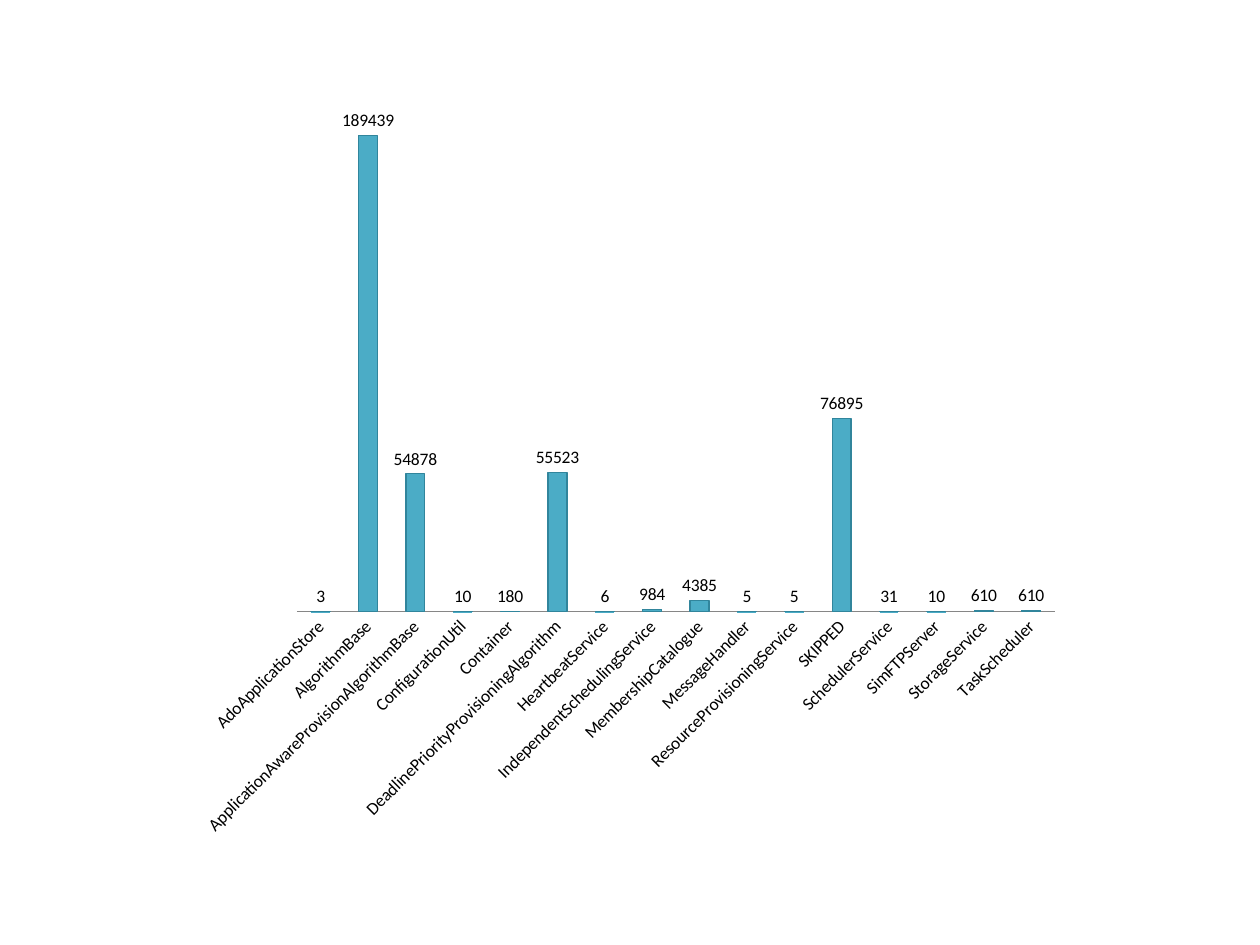
from lxml import etree
from pptx import Presentation
from pptx import util as u
from pptx.chart import data
from pptx.dml import color
from pptx.enum import chart as kinds
from pptx.oxml import ns

PX = 914400 // 126
COUNTS = {
    "AdoApplicationStore": 3,
    "AlgorithmBase": 189439,
    "ApplicationAwareProvisionAlgorithmBase": 54878,
    "ConfigurationUtil": 10,
    "Container": 180,
    "DeadlinePriorityProvisioningAlgorithm": 55523,
    "HeartbeatService": 6,
    "IndependentSchedulingService": 984,
    "MembershipCatalogue": 4385,
    "MessageHandler": 5,
    "ResourceProvisioningService": 5,
    "SKIPPED": 76895,
    "SchedulerService": 31,
    "SimFTPServer": 10,
    "StorageService": 610,
    "TaskScheduler": 610,
}


def rgb(code):
    return color.RGBColor.from_string(code)


def format_font(font, size=10, code="000000"):
    font.name = "Calibri"
    font.size = u.Pt(size)
    font.bold = False
    font.color.rgb = rgb(code)


deck = Presentation()
deck.slide_width, deck.slide_height = u.Inches(10), u.Inches(7.5)
page = deck.slides.add_slide(deck.slide_layouts[6])

counts = data.CategoryChartData()
counts.categories = list(COUNTS)
counts.add_series("Series 1", list(COUNTS.values()))
frame = page.shapes.add_chart(kinds.XL_CHART_TYPE.COLUMN_CLUSTERED,
                              186 * PX, 95 * PX, 886 * PX, 756 * PX, counts)
chart = frame.chart
chart.has_legend = False
chart.has_title = False
format_font(chart.font)

plot = chart.plots[0]
plot.gap_width = 150
plot.vary_by_categories = False
bars = plot.series[0]
bars.format.fill.solid()
bars.format.fill.fore_color.rgb = rgb("4BACC6")
bars.format.line.color.rgb = rgb("31859C")
bars.format.line.width = u.Pt(0.75)

plot.has_data_labels = True
labels = plot.data_labels
labels.show_value = True
labels.position = kinds.XL_LABEL_POSITION.OUTSIDE_END
format_font(labels.font)

value_axis = chart.value_axis
value_axis.minimum_scale, value_axis.maximum_scale = 0, 200000
value_axis.has_major_gridlines = False
value_axis.visible = False

category_axis = chart.category_axis
category_axis.major_tick_mark = kinds.XL_TICK_MARK.NONE
category_axis.minor_tick_mark = kinds.XL_TICK_MARK.NONE
category_axis.format.line.color.rgb = rgb("868686")
category_axis.format.line.width = u.Pt(0.75)
format_font(category_axis.tick_labels.font)
name_body = category_axis._element.find(ns.qn("c:txPr")).find(ns.qn("a:bodyPr"))
name_body.set("rot", "-2700000")
name_body.set("vert", "horz")

# Fix the inner plot area, as fractions of the chart frame
plot_area = chart._chartSpace.chart.plotArea
for old in plot_area.findall(ns.qn("c:layout")):
    plot_area.remove(old)
layout = etree.Element(ns.qn("c:layout"))
manual = etree.SubElement(layout, ns.qn("c:manualLayout"))
for tag, setting in [("layoutTarget", "inner"), ("xMode", "edge"), ("yMode", "edge"),
                     ("x", 111 / 886), ("y", 14 / 756),
                     ("w", 758 / 886), ("h", 503 / 756)]:
    etree.SubElement(manual, ns.qn("c:" + tag)).set("val", str(setting))
plot_area.insert(0, layout)

deck.save("out.pptx")
